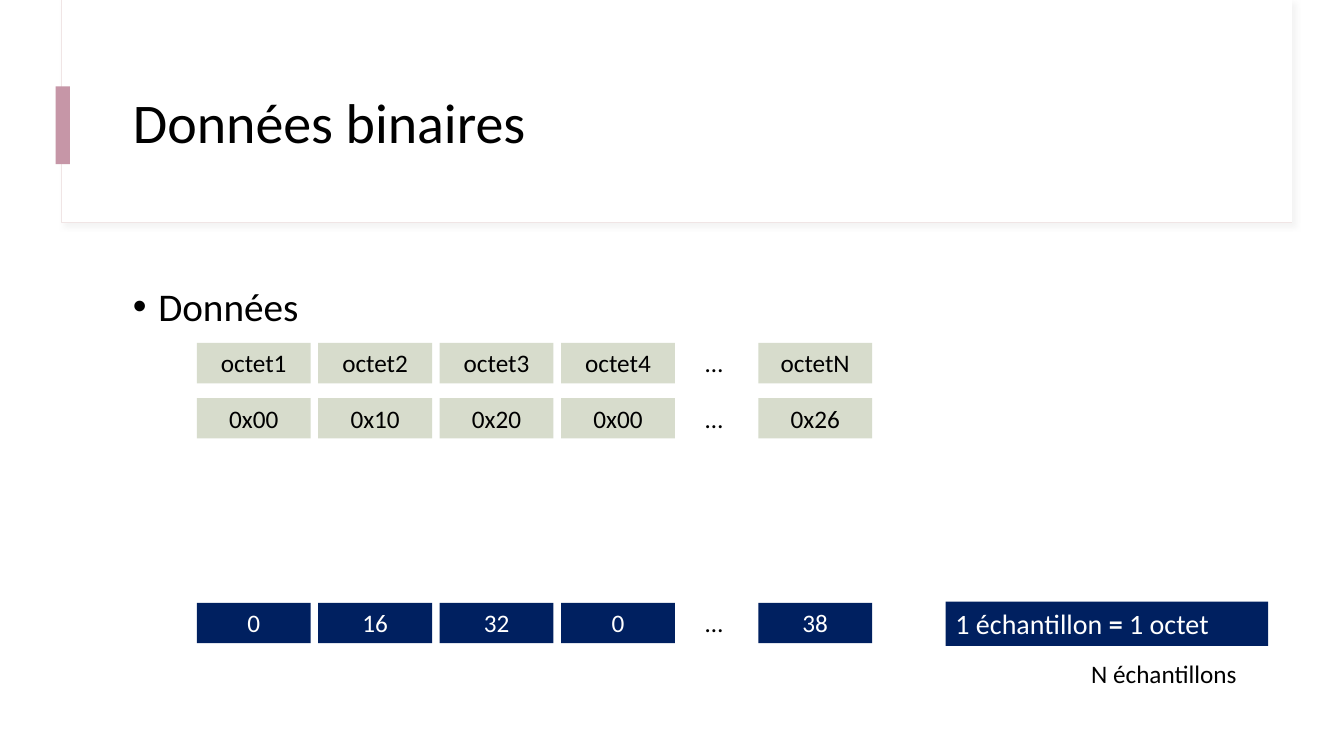
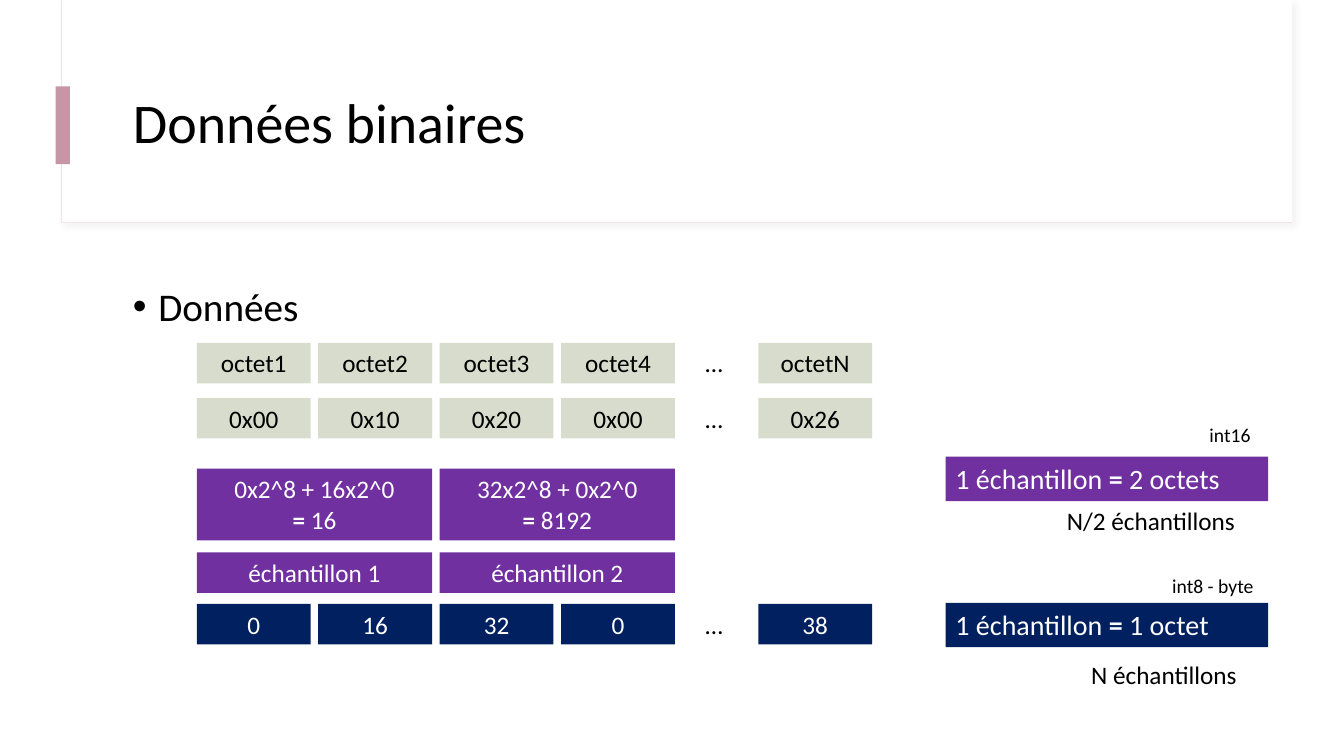
"""Two slides on reading binary data as 8-bit or 16-bit samples."""
from lxml.etree import SubElement
from pptx import Presentation
from pptx.dml.color import RGBColor
from pptx.enum.shapes import MSO_SHAPE as Shape
from pptx.enum.text import MSO_ANCHOR as Anchor, PP_ALIGN as Align
from pptx.oxml.ns import qn
from pptx.util import Cm, Pt

COLORS = {
    "white": "FFFFFF", "black": "000000", "frame": "F0E5E5", "shadow": "D9D9D9",
    "accent": "C696A7", "byte": "D7DCCC", "int8": "002060", "int16": "7030A0",
}
FONT = "Calibri"
TITLE = "Données binaires"
HEADING = "Données"
ELLIPSIS = "…"

BYTE_ROWS = [
    (8.64, ["octet1", "octet2", "octet3", "octet4", ELLIPSIS, "octetN"]),
    (10.03, ["0x00", "0x10", "0x20", "0x00", ELLIPSIS, "0x26"]),
]
INT8_CELLS = ["0", "16", "32", "0", ELLIPSIS, "38"]
INT16_ROWS = [
    (11.81, 1.81, ["0x2^8 + 16x2^0\n= 16", "32x2^8 + 0x2^0\n= 8192"]),
    (13.92, 1.02, ["échantillon 1", "échantillon 2"]),
]
INT8_KEY = "1 échantillon = 1 octet"
INT16_KEY = "1 échantillon = 2 octets"
INT8_COUNT = ("N échantillons", 27.25, 4.67)
INT16_COUNT = ("N/2 échantillons", 26.64, 5.28)
INT8_TYPE = ("int8 - byte", 29.29, 2.87)
INT16_TYPE = ("int16", 30.23, 1.7)

CELL_WIDTH, CELL_HEIGHT, CELL_PITCH = 2.87, 1.02, 3.06
COLUMNS = [4.96 + CELL_PITCH * index for index in range(4)] + [17.53, 19.11]
ELLIPSIS_WIDTH = 1.14
KEY_LEFT, KEY_WIDTH, KEY_HEIGHT = 23.83, 8.13, 1.12


def rgb(name):
    return RGBColor.from_string(COLORS[name])


def add_block(page, area, fill, line=None):
    block = page.shapes.add_shape(Shape.RECTANGLE, *map(Cm, area))
    block.shadow.inherit = False
    block.fill.solid()
    block.fill.fore_color.rgb = rgb(fill)
    if line:
        block.line.color.rgb = rgb(line)
        block.line.width = Pt(0.75)
    else:
        block.line.fill.background()
    return block


def add_text(page, text, area, size=18, fill=None, color="black",
             align=Align.LEFT, anchor=Anchor.TOP):
    box = add_block(page, area, fill) if fill else page.shapes.add_textbox(*map(Cm, area))
    frame = box.text_frame
    frame.word_wrap = True
    frame.vertical_anchor = anchor
    for index, line in enumerate(text.split("\n")):
        para = frame.add_paragraph() if index else frame.paragraphs[0]
        para.alignment = align
        for part in filter(None, line.partition("=")):
            span = para.add_run()
            span.text = part
            if part == "=":
                span.font.bold = True
        para.font.name = FONT
        para.font.size = Pt(size)
        para.font.color.rgb = rgb(color)
    return box


def add_shadow(block):
    effects = block.element.spPr.find(qn("a:effectLst"))
    shadow = SubElement(effects, qn("a:outerShdw"), blurRad=str(Pt(4)), dist=str(Pt(3)),
                        dir="2700000", algn="tl", rotWithShape="0")
    tint = SubElement(shadow, qn("a:srgbClr"), val=COLORS["shadow"])
    SubElement(tint, qn("a:alpha"), val="30000")


def add_heading(page):
    box = add_text(page, HEADING, (3.1, 6.88, 13.72, 10.27), 28)
    para = box.text_frame.paragraphs[0]
    para.line_spacing = 1.1
    properties = para._p.get_or_add_pPr()
    properties.set("marL", str(Cm(0.64)))
    properties.set("indent", str(-Cm(0.64)))
    bullet_font = properties.makeelement(qn("a:buFont"), typeface="Arial")
    bullet = properties.makeelement(qn("a:buChar"), char="•")
    default = properties.find(qn("a:defRPr"))
    default.addprevious(bullet_font)
    default.addprevious(bullet)


def add_cells(page, top, cells, fill, color):
    for left, text in zip(COLUMNS, cells):
        if text == ELLIPSIS:
            add_text(page, text, (left, top, ELLIPSIS_WIDTH, CELL_HEIGHT))
        else:
            add_text(page, text, (left, top, CELL_WIDTH, CELL_HEIGHT), fill=fill,
                     color=color, align=Align.CENTER)


def add_key(page, text, top, fill):
    add_text(page, text, (KEY_LEFT, top, KEY_WIDTH, KEY_HEIGHT), 20, fill, "white")


def add_label(page, label, top, size=18):
    text, left, width = label
    add_text(page, text, (left, top, width, CELL_HEIGHT), size)


def add_page(deck, int8_top):
    page = deck.slides.add_slide(deck.slide_layouts[6])
    add_shadow(add_block(page, (1.55, 0, 31.01, 5.61), "white", "frame"))
    add_block(page, (1.57, 0, 30.99, 5.59), "white")
    add_block(page, (1.4, 2.18, 0.36, 1.96), "accent")
    title = add_text(page, TITLE, (3.1, 1.52, 28.24, 3.28), 40, anchor=Anchor.MIDDLE)
    title.text_frame.paragraphs[0].line_spacing = 0.9
    add_heading(page)
    for top, cells in BYTE_ROWS:
        add_cells(page, top, cells, "byte", "black")
    add_cells(page, int8_top, INT8_CELLS, "int8", "white")
    add_key(page, INT8_KEY, int8_top - 0.03, "int8")
    add_label(page, INT8_COUNT, int8_top + 1.27)
    return page


def add_int16(page):
    for top, height, texts in INT16_ROWS:
        for left, text in zip(COLUMNS[::2], texts):
            add_text(page, text, (left, top, CELL_PITCH + CELL_WIDTH, height),
                     fill="int16", color="white", align=Align.CENTER)
    add_key(page, INT16_KEY, 11.51, "int16")
    add_label(page, INT16_COUNT, 12.62)
    add_label(page, INT16_TYPE, 10.54, 14)
    add_label(page, INT8_TYPE, 14.33, 14)


def main():
    deck = Presentation()
    deck.slide_width, deck.slide_height = Cm(33.87), Cm(19.05)
    add_page(deck, 15.19)
    add_int16(add_page(deck, 15.22))
    deck.save("out.pptx")


if __name__ == "__main__":
    main()
